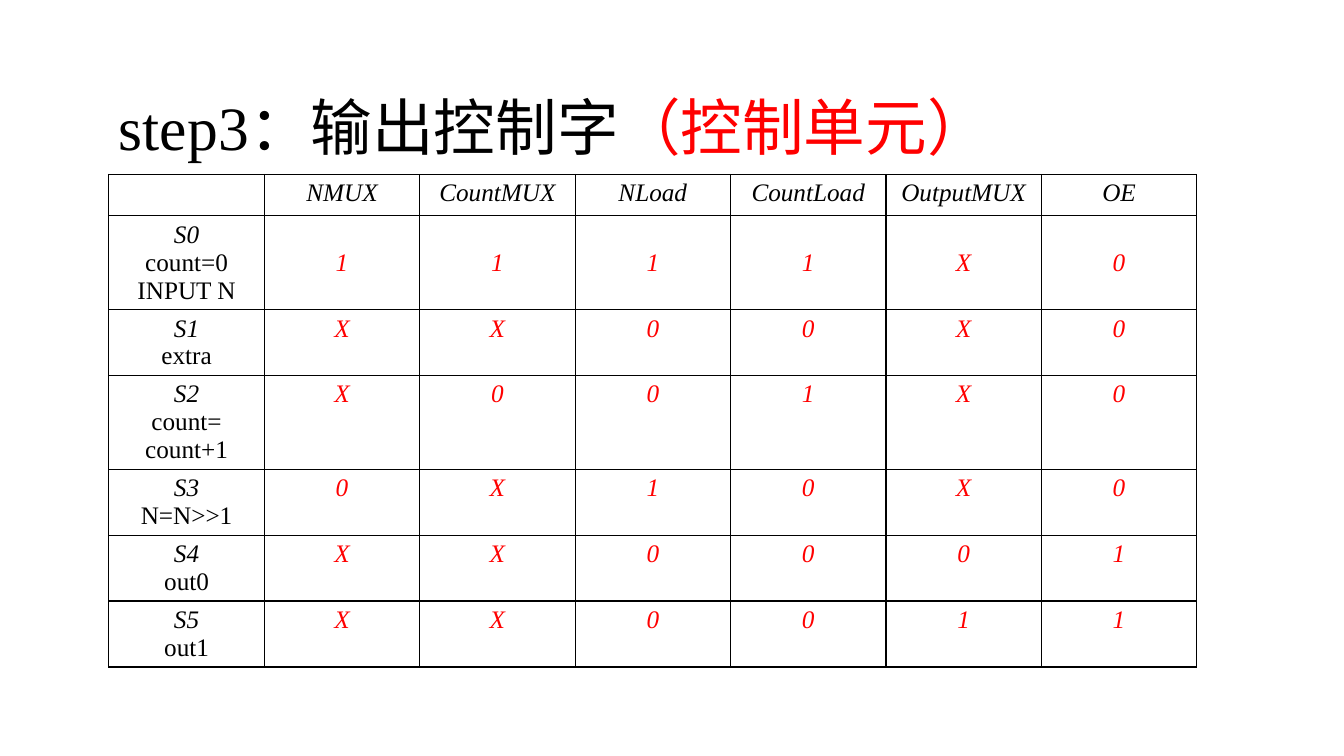
"""Build the slide with the control word table of the control unit."""
import pptx
import pptx.dml.color
import pptx.enum.text
import pptx.oxml
import pptx.oxml.ns
import pptx.util

BLACK = pptx.dml.color.RGBColor(0, 0, 0)
RED = pptx.dml.color.RGBColor(255, 0, 0)
FACE = "Times New Roman"
HEADS = ["", "NMUX", "CountMUX", "NLoad", "CountLoad", "OutputMUX", "OE"]
STATES = [
    ("S0\ncount=0\nINPUT N", "1111X0"),
    ("S1\nextra", "XX00X0"),
    ("S2\ncount=\ncount+1", "X001X0"),
    ("S3\nN=N>>1", "0X10X0"),
    ("S4\nout0", "XX0001"),
    ("S5\nout1", "XX0011"),
]
inch = pptx.util.Inches
middle = pptx.enum.text.MSO_ANCHOR.MIDDLE
align = pptx.enum.text.PP_ALIGN


def style(run, size, color, slant=False):
    """Set the font of one run."""
    run.font.name = FACE
    run.font.size = pptx.util.Pt(size)
    run.font.color.rgb = color
    run.font.italic = slant


def border(cell):
    """Draw a thin black line on all sides of a cell."""
    props = cell._tc.get_or_add_tcPr()
    for side in ("lnL", "lnR", "lnT", "lnB"):
        props.append(pptx.oxml.parse_xml(
            f'<a:{side} {pptx.oxml.ns.nsdecls("a")} w="12700"><a:solidFill>'
            f'<a:srgbClr val="{BLACK}"/></a:solidFill></a:{side}>'))


deck = pptx.Presentation()
deck.slide_width, deck.slide_height = inch(13.33), inch(7.5)
slide = deck.slides.add_slide(deck.slide_layouts[5])

title = slide.shapes.title
title.left, title.top = inch(1.08), inch(0.57)
title.width, title.height = inch(11.5), inch(1.45)
frame = title.text_frame
frame.text = "step3：输出控制字"
frame.word_wrap = True
frame.auto_size = pptx.enum.text.MSO_AUTO_SIZE.NONE
frame.vertical_anchor = middle
line = frame.paragraphs[0]
line.alignment = align.LEFT
line.line_spacing = 0.9
style(line.runs[0], 44, BLACK)
unit = line.add_run()
unit.text = "（控制单元）"
style(unit, 44, RED)

rows = [HEADS] + [[name, *bits] for name, bits in STATES]
count, wide = len(rows), len(HEADS)
table = slide.shapes.add_table(
    count, wide, inch(1.08), inch(1.73), inch(10.79), inch(0.41 * count)).table
table.first_row = table.horz_banding = False

for r, row in enumerate(rows):
    for c, text in enumerate(row):
        cell = table.cell(r, c)
        border(cell)
        cell.fill.background()
        if r == 1 and c > 0:
            cell.vertical_anchor = middle
        cell.text_frame.text = text
        color = RED if r > 0 and c > 0 else BLACK
        for p, para in enumerate(cell.text_frame.paragraphs):
            para.alignment = align.CENTER
            for run in para.runs:
                style(run, 18, color, p == 0)

deck.save("out.pptx")
